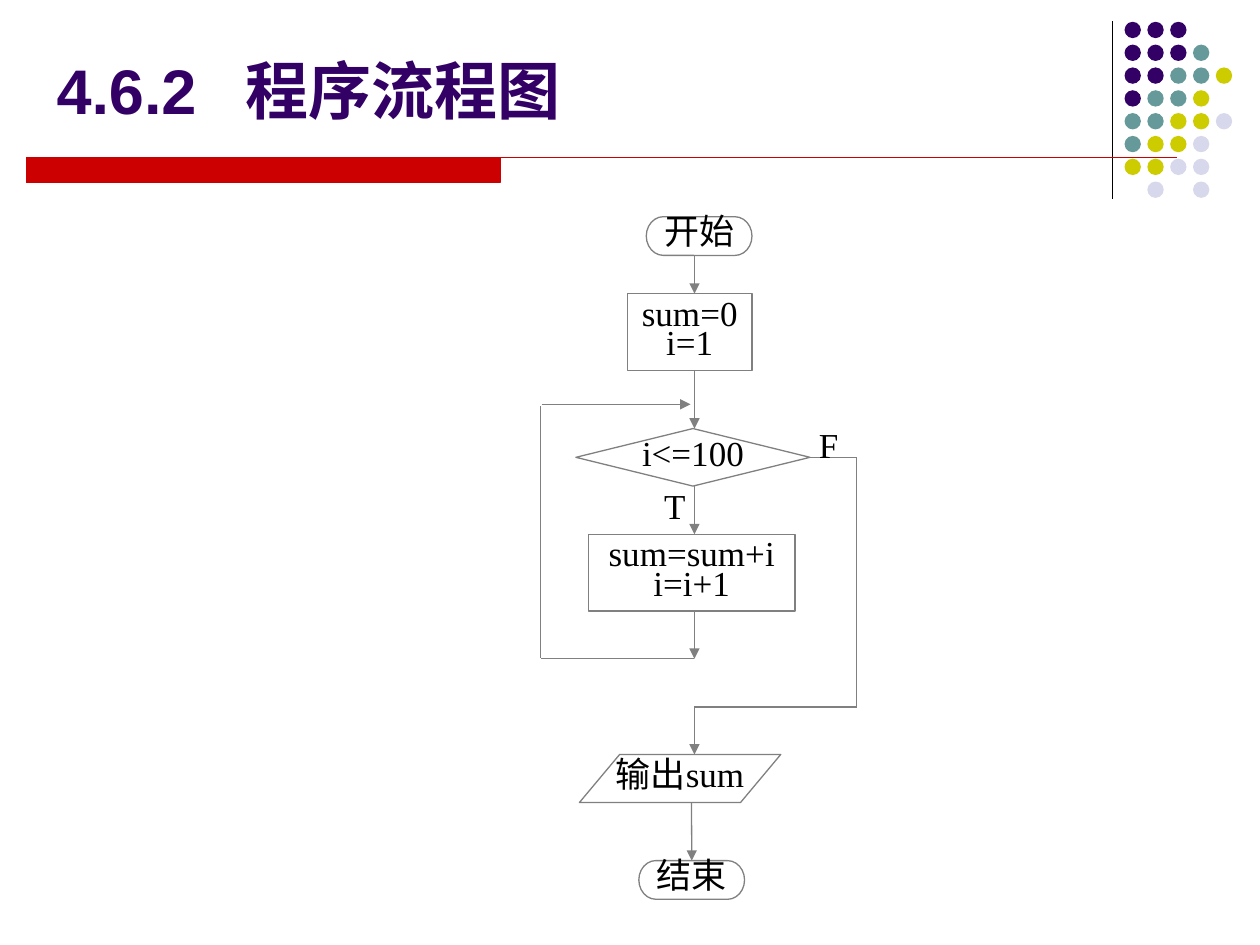
from lxml import etree
from pptx import Presentation
from pptx.dml.color import RGBColor
from pptx.enum.shapes import MSO_CONNECTOR, MSO_SHAPE as SHAPE
from pptx.enum.text import MSO_ANCHOR, MSO_AUTO_SIZE, PP_ALIGN
from pptx.oxml.ns import qn
from pptx.util import Cm, Pt

COLORS = {"purple": "330066", "teal": "669999", "olive": "CCCC00", "lilac": "D8D8EC",
          "red": "CC0000", "gray": "808080", "white": "FFFFFF", "black": "000000"}
RGB = {name: RGBColor.from_string(value) for name, value in COLORS.items()}

presentation = Presentation()
presentation.slide_width, presentation.slide_height = Cm(25.4), Cm(19.05)
slide = presentation.slides.add_slide(presentation.slide_layouts[6])
shapes = slide.shapes


def add_line(x1, y1, x2, y2, color="gray", arrow=False):
    line = shapes.add_connector(MSO_CONNECTOR.STRAIGHT, Cm(x1), Cm(y1), Cm(x2), Cm(y2))
    line.line.color.rgb = RGB[color]
    line.line.width = Pt(0.75)
    if arrow:
        etree.SubElement(line.line._get_or_add_ln(), qn("a:tailEnd"), type="triangle")
    etree.SubElement(line._element.spPr, qn("a:effectLst"))
    return line


def write_centered(text_frame, text):
    text_frame.text = text
    for paragraph in text_frame.paragraphs:
        paragraph.alignment = PP_ALIGN.CENTER
        paragraph.line_spacing = 0.7
        paragraph.font.name = "Times New Roman"
        paragraph.font.size = Pt(20)
        paragraph.font.color.rgb = RGB["black"]


# Dot pattern in the corner, one letter per dot
add_line(22.43, 0.43, 22.43, 4.01, "black")
dot_colors = {"P": "purple", "T": "teal", "O": "olive", "L": "lilac"}
dot_rows = ["PPP", "PPPT", "PPTTO", "PTTO", "TTOOL", "TOOL", "OOLL", ".L.L"]
for row, letters in enumerate(dot_rows):
    for column, letter in enumerate(letters):
        if letter == ".":
            continue
        dot = shapes.add_shape(SHAPE.OVAL, Cm(22.67 + 0.46 * column),
                               Cm(0.44 + 0.46 * row), Cm(0.33), Cm(0.33))
        dot.shadow.inherit = False
        dot.fill.solid()
        dot.fill.fore_color.rgb = RGB[dot_colors[letter]]
        dot.line.fill.background()

# Red bar with its thin extension under the title
left, top, right, bottom = Cm(0.53), Cm(3.18), Cm(10.08), Cm(3.68)
builder = shapes.build_freeform(left, top)
builder.add_line_segments([(right, top), (right, bottom), (left, bottom)], close=True)
builder.move_to(left, top)
builder.add_line_segments([(Cm(23.72), top)], close=False)
title_rule = builder.convert_to_shape()
title_rule.shadow.inherit = False
title_rule.fill.solid()
title_rule.fill.fore_color.rgb = RGB["red"]
title_rule.line.color.rgb = RGB["red"]
title_rule.line.width = Pt(0.75)

# Flowchart boxes: shape, left, top, width, height, text
boxes = {
    "decision": (SHAPE.FLOWCHART_DECISION, 11.61, 8.64, 4.72, 1.16, "i<=100"),
    "start": (SHAPE.FLOWCHART_TERMINATOR, 13.03, 4.37, 2.13, 0.78, "开始"),
    "output": (SHAPE.FLOWCHART_DATA, 11.68, 15.21, 4.06, 0.97, "输出sum"),
    "end": (SHAPE.FLOWCHART_TERMINATOR, 12.88, 17.35, 2.13, 0.78, "结束"),
    "init": (SHAPE.RECTANGLE, 12.65, 5.92, 2.51, 1.55, "sum=0\ni=1"),
    "body": (SHAPE.RECTANGLE, 11.86, 10.77, 4.17, 1.55, "sum=sum+i\ni=i+1"),
}
nodes = {}
for name, (kind, left, top, width, height, text) in boxes.items():
    shape = shapes.add_shape(kind, Cm(left), Cm(top), Cm(width), Cm(height))
    shape.shadow.inherit = False
    shape.fill.solid()
    shape.fill.fore_color.rgb = RGB["white"]
    shape.line.color.rgb = RGB["gray"]
    shape.line.width = Pt(0.75)
    shape.text_frame.word_wrap = False
    shape.text_frame.vertical_anchor = MSO_ANCHOR.MIDDLE
    write_centered(shape.text_frame, text)
    nodes[name] = shape

# Arrows down the trunk
trunk = 14.0
for y1, y2 in [(5.15, 5.92), (7.47, 8.64), (9.8, 10.77), (12.32, 13.28), (14.25, 15.21)]:
    add_line(trunk, y1, trunk, y2, arrow=True)
to_end = add_line(13.94, 16.18, 13.94, 17.35, arrow=True)
to_end.end_connect(nodes["end"], 0)

# Loop back on the left
add_line(trunk, 13.28, 10.9, 13.28)
add_line(10.9, 13.26, 10.9, 8.18)
add_line(10.92, 8.15, 13.92, 8.15, arrow=True)

# Exit on the right
exit_line = add_line(16.33, 9.22, 17.27, 9.22)
exit_line.begin_connect(nodes["decision"], 3)
add_line(17.27, 9.22, 17.27, 14.25)
add_line(17.27, 14.25, trunk, 14.25)

# Branch labels
for text, left, top in [("F", 15.93, 8.64), ("T", 12.83, 9.88)]:
    label = shapes.add_textbox(Cm(left), Cm(top), Cm(1.55), Cm(0.86))
    label.text_frame.word_wrap = True
    label.text_frame.auto_size = MSO_AUTO_SIZE.SHAPE_TO_FIT_TEXT
    write_centered(label.text_frame, text)

# Title, with a tab stop between number and wording
title = shapes.add_textbox(Cm(0.89), Cm(0.91), Cm(17.2), Cm(2.11))
title.text_frame.word_wrap = True
paragraph = title.text_frame.paragraphs[0]
paragraph.text = "4.6.2\t程序流程图"
tab_list = etree.SubElement(paragraph._p.get_or_add_pPr(), qn("a:tabLst"))
etree.SubElement(tab_list, qn("a:tab"), pos=str(Cm(3.81)), algn="l")
paragraph.font.name = "Arial"
paragraph.font.size = Pt(36)
paragraph.font.bold = True
paragraph.font.color.rgb = RGB["purple"]

presentation.save("out.pptx")
